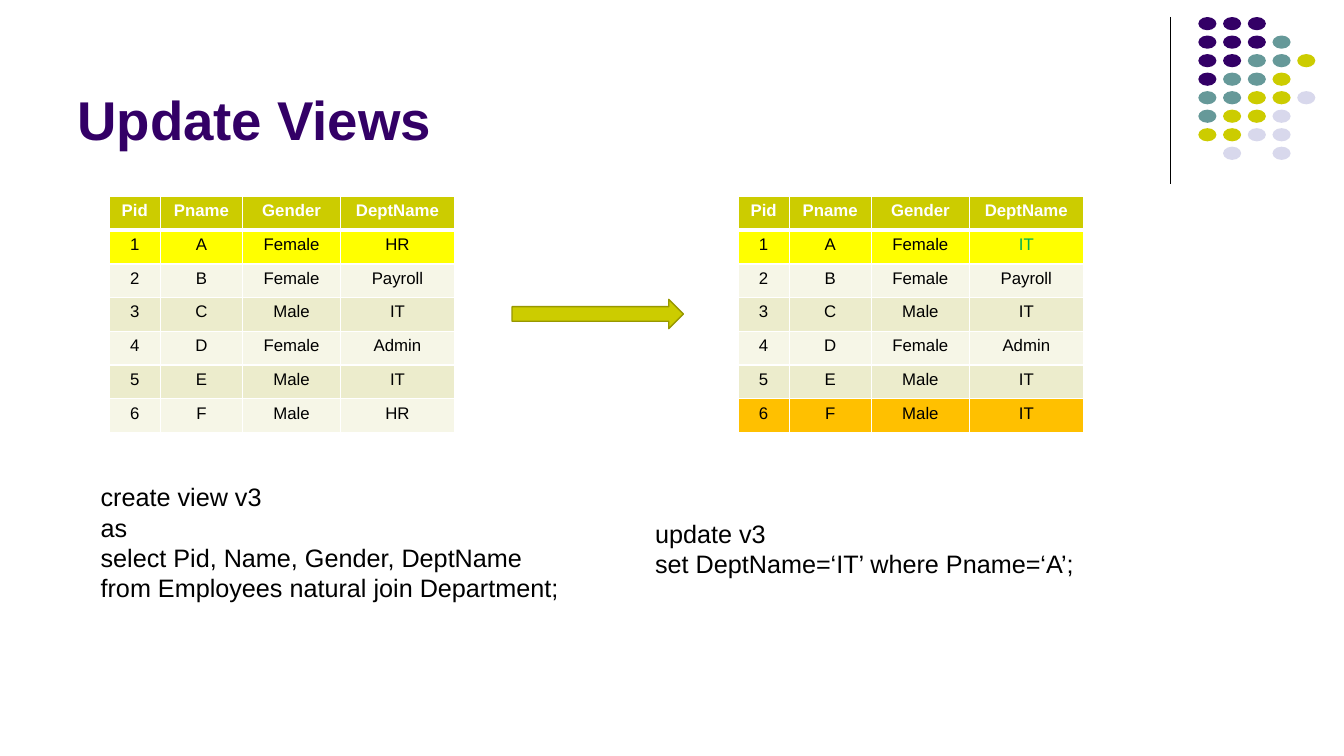
from dataclasses import dataclass, field

from lxml import etree
from pptx import Presentation
from pptx.dml.color import RGBColor
from pptx.enum.shapes import MSO_CONNECTOR, MSO_SHAPE
from pptx.enum.text import MSO_ANCHOR, MSO_AUTO_SIZE, PP_ALIGN
from pptx.oxml.ns import qn
from pptx.util import Inches, Pt

STRAIGHT = MSO_CONNECTOR.STRAIGHT
OVAL, RIGHT_ARROW = MSO_SHAPE.OVAL, MSO_SHAPE.RIGHT_ARROW
BOTTOM, CENTER, LEFT = MSO_ANCHOR.BOTTOM, PP_ALIGN.CENTER, PP_ALIGN.LEFT
NO_FIT = MSO_AUTO_SIZE.NONE

BLACK = RGBColor(0x00, 0x00, 0x00)
WHITE = RGBColor(0xFF, 0xFF, 0xFF)
PURPLE = RGBColor(0x33, 0x00, 0x66)
TEAL = RGBColor(0x66, 0x99, 0x99)
OLIVE = RGBColor(0xCC, 0xCC, 0x00)
DARK_OLIVE = RGBColor(0x97, 0x97, 0x00)
LAVENDER = RGBColor(0xD8, 0xD8, 0xEC)
YELLOW = RGBColor(0xFF, 0xFF, 0x00)
ORANGE = RGBColor(0xFF, 0xC0, 0x00)
GREEN = RGBColor(0x00, 0xB0, 0x50)
BANDS = (RGBColor(0xEC, 0xEC, 0xCC), RGBColor(0xF6, 0xF6, 0xE7))

FONT = "Arial"
WIDTH, HEIGHT = Inches(13.333), Inches(7.5)

# Dot pattern: one letter per dot, one string per row
DOT_COLORS = {"P": PURPLE, "T": TEAL, "O": OLIVE, "L": LAVENDER}
DOT_ROWS = ("PPP", "PPPT", "PPTTO", "PTTO", "TTOOL", "TOOL", "OOLL", " L L")

HEADER = ("Pid", "Pname", "Gender", "DeptName")
PEOPLE = (("1", "A", "Female"), ("2", "B", "Female"), ("3", "C", "Male"),
          ("4", "D", "Female"), ("5", "E", "Male"), ("6", "F", "Male"))
COL_WIDTHS = (3.8, 6.12, 7.3, 8.46)
ROW_HEIGHT = 4.46
TABLE_TOP = 26


@dataclass
class Box:
    """An area in hundredths of the slide's width and height."""
    left: float
    top: float
    width: float
    height: float

    def emu(self) -> tuple:
        return across(self.left), down(self.top), across(self.width), down(self.height)


@dataclass
class Code:
    box: Box
    lines: tuple


@dataclass
class Employees:
    left: float
    departments: tuple
    row_fills: dict
    text_colors: dict = field(default_factory=dict)


CODES = (
    Code(Box(6.75, 63.07, 39.5, 17.47),
         ("create view v3", "as", "select Pid, Name, Gender, DeptName",
          "from Employees natural join Department;")),
    Code(Box(48, 67.87, 39.5, 9.47),
         ("update v3", "set DeptName=‘IT’ where Pname=‘A’;")),
)
TABLES = (
    Employees(8.13, ("HR", "Payroll", "IT", "Admin", "IT", "HR"), {1: YELLOW}),
    Employees(54.92, ("IT", "Payroll", "IT", "Admin", "IT", "IT"),
              {1: YELLOW, 6: ORANGE}, {(1, 3): GREEN}),
)


def across(share: float) -> int:
    return round(WIDTH * share / 100)


def down(share: float) -> int:
    return round(HEIGHT * share / 100)


def write(p, text: str, size: float, color: RGBColor, bold=False, align=LEFT) -> None:
    p.alignment = align
    r = p.add_run()
    r.text = text
    r.font.name, r.font.size, r.font.bold = FONT, Pt(size), bold
    r.font.color.rgb = color


def set_border(cell, side: str, points: float) -> None:
    ln = etree.SubElement(cell._tc.get_or_add_tcPr(), qn(f"a:{side}"), w=str(Pt(points)))
    fill = etree.SubElement(ln, qn("a:solidFill"))
    etree.SubElement(fill, qn("a:srgbClr"), val=str(WHITE))


def draw_corner(s) -> None:
    rule = s.shapes.add_connector(STRAIGHT, across(87.08), down(2.25),
                                  across(87.08), down(24.4))
    rule.line.color.rgb, rule.line.width = BLACK, Pt(0.75)
    etree.SubElement(rule._element.spPr, qn("a:effectLst"))
    dots = s.shapes.add_group_shape()
    for row, letters in enumerate(DOT_ROWS):
        for col, letter in enumerate(letters):
            if letter == " ":
                continue
            box = Box(89.16 + 1.84 * col, 2.25 + 2.45 * row, 1.35, 1.75)
            dot = dots.shapes.add_shape(OVAL, *box.emu())
            dot.shadow.inherit = False
            dot.fill.solid()
            dot.fill.fore_color.rgb = DOT_COLORS[letter]
            dot.line.fill.background()


def draw_title(s) -> None:
    sp = s.shapes.title
    sp.left, sp.top, sp.width, sp.height = Box(5, 1.73, 82.5, 18.93).emu()
    tf = sp.text_frame
    tf.auto_size, tf.vertical_anchor = NO_FIT, BOTTOM
    write(tf.paragraphs[0], "Update Views", 39, PURPLE, bold=True)


def draw_code(s, code: Code) -> None:
    tf = s.shapes.add_textbox(*code.box.emu()).text_frame
    tf.word_wrap = True
    for i, line in enumerate(code.lines):
        p = tf.add_paragraph() if i else tf.paragraphs[0]
        write(p, line, 18, BLACK)


def draw_arrow(s) -> None:
    sp = s.shapes.add_shape(RIGHT_ARROW, *Box(38.1, 39.6, 12.75, 3.87).emu())
    sp.shadow.inherit = False
    sp.fill.solid()
    sp.fill.fore_color.rgb = OLIVE
    sp.line.color.rgb, sp.line.width = DARK_OLIVE, Pt(1)


def draw_table(s, data: Employees) -> None:
    rows = [HEADER] + [(*who, dept) for who, dept in zip(PEOPLE, data.departments)]
    box = Box(data.left, TABLE_TOP, sum(COL_WIDTHS), ROW_HEIGHT * len(rows))
    table = s.shapes.add_table(len(rows), len(HEADER), *box.emu()).table
    for column, width in zip(table.columns, COL_WIDTHS):
        column.width = across(width)
    for i, values in enumerate(rows):
        table.rows[i].height = down(ROW_HEIGHT)
        head = i == 0
        fill = OLIVE if head else data.row_fills.get(i, BANDS[i % 2 == 0])
        for j, text in enumerate(values):
            cell = table.cell(i, j)
            # The rule under the header is thicker than the others
            for side, points in (("lnL", 1), ("lnR", 1), ("lnT", 3 if i == 1 else 1),
                                 ("lnB", 3 if head else 1)):
                set_border(cell, side, points)
            cell.fill.solid()
            cell.fill.fore_color.rgb = fill
            color = WHITE if head else data.text_colors.get((i, j), BLACK)
            write(cell.text_frame.paragraphs[0], text, 12, color, head, CENTER)


def main() -> None:
    prs = Presentation()
    prs.slide_width, prs.slide_height = WIDTH, HEIGHT
    s = prs.slides.add_slide(prs.slide_layouts[5])
    draw_corner(s)
    draw_title(s)
    for code in CODES:
        draw_code(s, code)
    draw_arrow(s)
    for data in TABLES:
        draw_table(s, data)
    prs.save("out.pptx")


if __name__ == "__main__":
    main()
